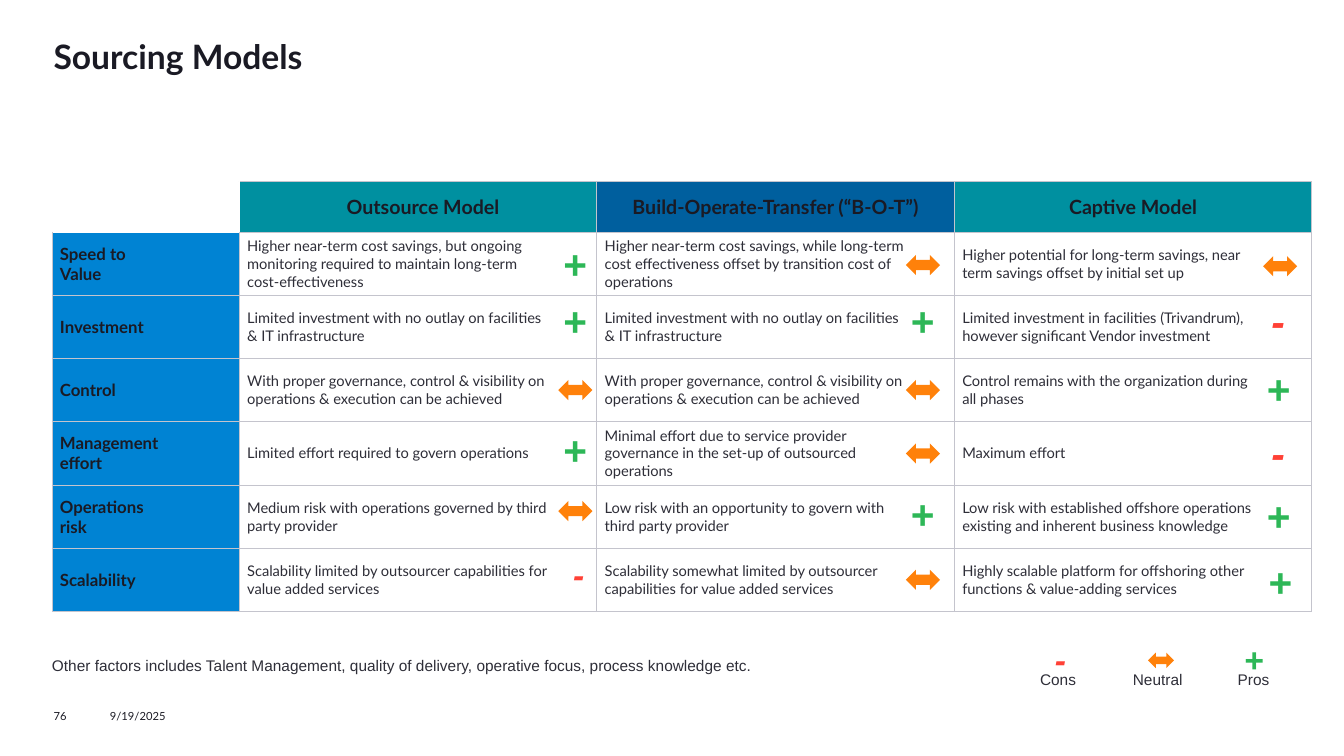
from lxml.etree import SubElement
from pptx import Presentation
from pptx.dml.color import RGBColor
from pptx.enum.shapes import MSO_SHAPE
from pptx.enum.text import MSO_ANCHOR, MSO_AUTO_SIZE, PP_ALIGN
from pptx.oxml.ns import qn
from pptx.util import Cm, Pt

COLORS = {
    "ink": "1A1A24", "text": "2E2E38", "grid": "C4C4CD",
    "teal": "0090A0", "navy": "005F9E", "blue": "0083D3",
    "+": "2DB757", "-": "FF4136", "↔": "FF810A",
}
HEADERS = [("Outsource Model", "teal"),
           ("Build-Operate-Transfer (“B-O-T”)", "navy"),
           ("Captive Model", "teal")]
ROWS = [
    ("Speed to\nValue",
     "Higher near-term cost savings, but ongoing monitoring required to maintain long-term cost-effectiveness",
     "Higher near-term cost savings, while long-term cost effectiveness offset by transition cost of operations",
     "Higher potential for long-term savings, near term savings offset by initial set up"),
    ("Investment",
     "Limited investment with no outlay on facilities & IT infrastructure",
     "Limited investment with no outlay on facilities & IT infrastructure",
     "Limited investment in facilities (Trivandrum), however significant Vendor investment"),
    ("Control",
     "With proper governance, control & visibility on operations & execution can be achieved",
     "With proper governance, control & visibility on operations & execution can be achieved",
     "Control remains with the organization during all phases"),
    ("Management\neffort",
     "Limited effort required to govern operations",
     "Minimal effort due to service provider governance in the set-up of outsourced operations",
     "Maximum effort"),
    ("Operations\nrisk",
     "Medium risk with operations governed by third party provider",
     "Low risk with an opportunity to govern with third party provider",
     "Low risk with established offshore operations existing and inherent business knowledge"),
    ("Scalability",
     "Scalability limited by outsourcer capabilities for value added services",
     "Scalability somewhat limited by outsourcer capabilities for value added services",
     "Highly scalable platform for offshoring other functions & value-adding services"),
]
# Symbol, centre x and centre y in cm, size in points
OUTSOURCE, TRANSFER, CAPTIVE = 14.5, 23.26, 32.23
MARKS = [
    ("+", OUTSOURCE, 6.69, 29), ("↔", TRANSFER, 6.68, 29), ("↔", CAPTIVE + 0.03, 6.71, 29),
    ("+", OUTSOURCE, 8.12, 29), ("+", TRANSFER, 8.12, 29), ("-", CAPTIVE, 8.12, 29),
    ("↔", OUTSOURCE, 9.83, 29), ("↔", TRANSFER, 9.83, 29), ("+", CAPTIVE, 9.84, 29),
    ("+", OUTSOURCE, 11.37, 29), ("↔", TRANSFER, 11.43, 29), ("-", CAPTIVE, 11.44, 29),
    ("↔", OUTSOURCE, 12.88, 29), ("+", TRANSFER, 12.97, 29), ("+", CAPTIVE, 13.04, 29),
    ("-", 14.6, 14.48, 24), ("↔", TRANSFER, 14.61, 29), ("+", CAPTIVE + 0.04, 14.69, 29),
    ("-", 26.74, 16.62, 24), ("↔", 29.26, 16.64, 22), ("+", 31.61, 16.62, 24),
]
MARK_SIZES = {"+": (0.64, 1.14), "-": (0.38, 1.14), "↔": (0.86, 0.51)}
# Text, left, top, width, height, font, size, colour, line spacing
LABELS = [
    ("Other factors includes Talent Management, quality of delivery, operative focus, process knowledge etc.",
     1.31, 16.61, 20.85, 0.41, "Arial", 11, "text", 0.85),
    ("Cons", 26.21, 16.97, 0.97, 0.41, "Arial", 11, "text", 0.85),
    ("Neutral", 28.55, 16.97, 1.4, 0.41, "Arial", 11, "text", 0.85),
    ("Pros", 31.19, 16.97, 1.4, 0.41, "Arial", 11, "text", 0.85),
    ("9/19/2025", 2.77, 17.88, 3.56, 0.33, "Lato", 8, "ink", 1.0),
    ("76", 1.35, 17.88, 1.42, 0.33, "Lato", 8, "ink", 1.0),
]


def style_text(holder, font_name, size, color, bold=False, spacing=1.0, margins=(0, 0, 0, 0)):
    """Format all text of a shape or cell; margins are left, top, right, bottom in cm."""
    owner = holder if hasattr(holder, "margin_left") else holder.text_frame
    owner.margin_left, owner.margin_top, owner.margin_right, owner.margin_bottom = map(Cm, margins)
    for paragraph in holder.text_frame.paragraphs:
        paragraph.line_spacing = spacing
        for run in paragraph.runs:
            run.font.name = font_name
            run.font.size = Pt(size)
            run.font.bold = bold
            run.font.color.rgb = RGBColor.from_string(COLORS[color])


def add_borders(cell, sides):
    properties = cell._tc.get_or_add_tcPr()
    for side in sides:
        line = SubElement(properties, qn(f"a:ln{side}"), w=str(Pt(0.75)))
        fill = SubElement(line, qn("a:solidFill"))
        SubElement(fill, qn("a:srgbClr"), val=COLORS["grid"])


presentation = Presentation()
presentation.slide_width, presentation.slide_height = Cm(33.87), Cm(19.05)
slide = presentation.slides.add_slide(presentation.slide_layouts[5])

title = slide.shapes.title
title.left, title.top, title.width, title.height = Cm(1.35), Cm(1.07), Cm(31.19), Cm(1.78)
title.text_frame.text = "Sourcing Models"
title.text_frame.auto_size = MSO_AUTO_SIZE.NONE
title.text_frame.vertical_anchor = MSO_ANCHOR.TOP
title.text_frame.paragraphs[0].alignment = PP_ALIGN.LEFT
style_text(title, "Lato", 24, "ink", bold=True, spacing=0.85)

# Comparison table
table = slide.shapes.add_table(7, 4, Cm(1.31), Cm(4.58), Cm(31.75), Cm(10.81)).table
table.horz_banding = False
for index, column in enumerate(table.columns):
    column.width = Cm(9.01 if index else 4.72)
for index, row in enumerate(table.rows):
    row.height = Cm(1.59 if index else 1.27)

table.cell(0, 0).fill.background()
for index, (header, color) in enumerate(HEADERS, start=1):
    cell = table.cell(0, index)
    cell.text_frame.text = header
    cell.vertical_anchor = MSO_ANCHOR.MIDDLE
    cell.text_frame.paragraphs[0].alignment = PP_ALIGN.CENTER
    right_margin = 0 if index == 1 else 0.25
    style_text(cell, "Lato", 14, "ink", bold=True, margins=(0.25, 0.2, right_margin, 0.2))
    add_borders(cell, "RTB" if index == 1 else "LRTB")
    cell.fill.solid()
    cell.fill.fore_color.rgb = RGBColor.from_string(COLORS[color])

for row_index, texts in enumerate(ROWS, start=1):
    for column_index, text in enumerate(texts):
        cell = table.cell(row_index, column_index)
        cell.text_frame.text = text
        cell.vertical_anchor = MSO_ANCHOR.MIDDLE
        add_borders(cell, "LRB" if (row_index, column_index) == (1, 0) else "LRTB")
        if column_index == 0:
            style_text(cell, "Lato", 12, "ink", bold=True, margins=(0.2, 0.13, 0.25, 0.13))
            cell.fill.solid()
            cell.fill.fore_color.rgb = RGBColor.from_string(COLORS["blue"])
        else:
            style_text(cell, "Lato", 10.5, "text", margins=(0.2, 0.13, 1.19, 0.13))
            cell.fill.background()

# Ratings and legend symbols
for symbol, center_x, center_y, size in MARKS:
    width, height = (length * size / 29 for length in MARK_SIZES[symbol])
    frame = Cm(center_x - width / 2), Cm(center_y - height / 2), Cm(width), Cm(height)
    if symbol == "↔":
        arrow = slide.shapes.add_shape(MSO_SHAPE.LEFT_RIGHT_ARROW, *frame)
        arrow.shadow.inherit = False
        arrow.fill.solid()
        arrow.fill.fore_color.rgb = RGBColor.from_string(COLORS[symbol])
        arrow.line.fill.background()
    else:
        mark = slide.shapes.add_textbox(*frame)
        mark.text_frame.text = symbol
        mark.text_frame.word_wrap = False
        style_text(mark, "Arial", size, symbol, bold=True, spacing=0.85, margins=(0, 0.1, 0, 0))
        paragraph = mark.text_frame.paragraphs[0]
        paragraph.space_after = Pt(5.4)
        paragraph.runs[0].font.italic = True

# Footnote, legend captions, date and page number
for text, left, top, width, height, font_name, size, color, spacing in LABELS:
    label = slide.shapes.add_textbox(Cm(left), Cm(top), Cm(width), Cm(height))
    label.text_frame.text = text
    label.text_frame.word_wrap = True
    style_text(label, font_name, size, color, spacing=spacing)

presentation.save("out.pptx")
